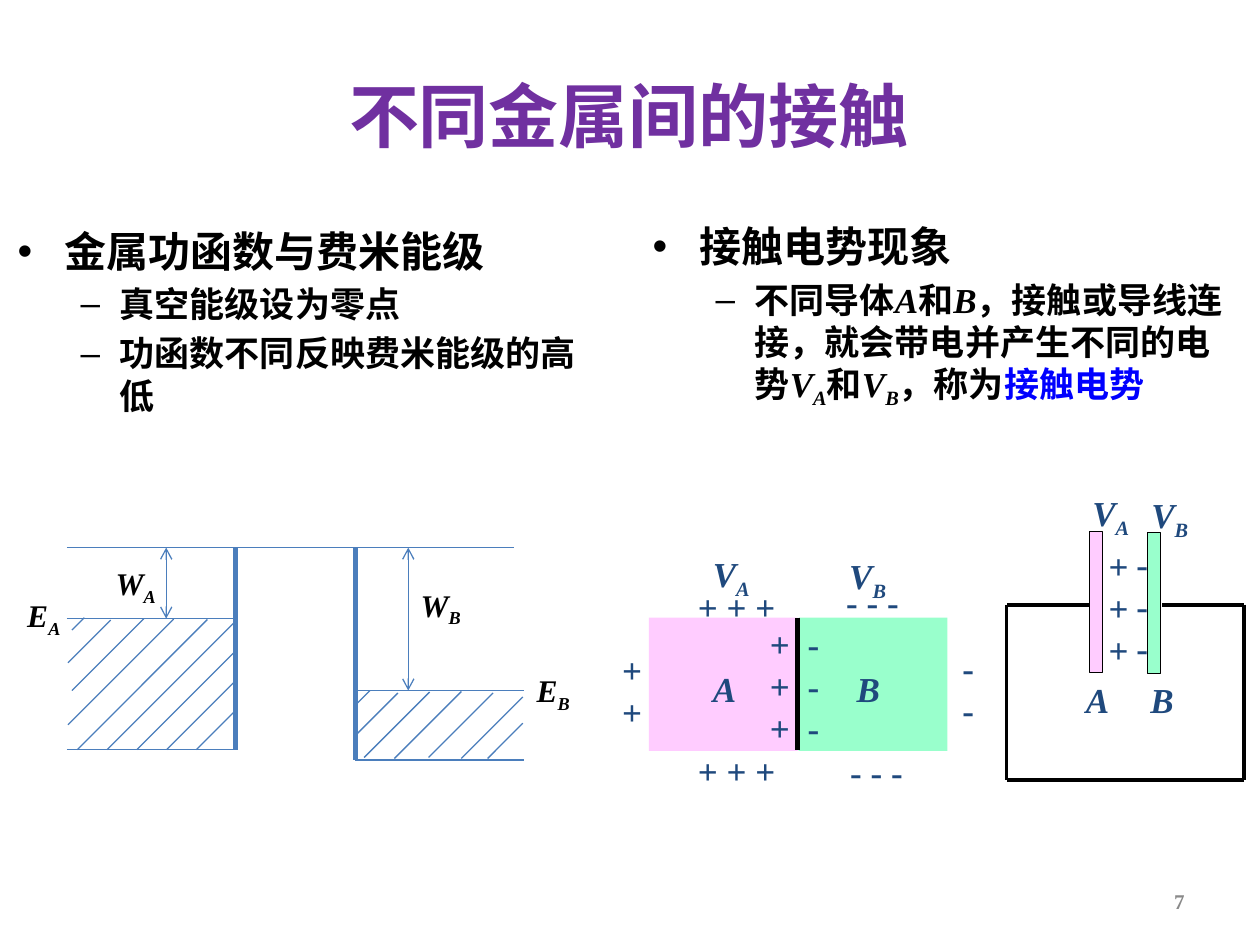
import lxml.etree
import pptx
import pptx.dml.color
import pptx.enum.shapes
import pptx.enum.text
import pptx.oxml.ns
import pptx.util

Cm, Pt = pptx.util.Cm, pptx.util.Pt
RGBColor = pptx.dml.color.RGBColor
qn = pptx.oxml.ns.qn
PP_ALIGN, MSO_ANCHOR = pptx.enum.text.PP_ALIGN, pptx.enum.text.MSO_ANCHOR
MSO_AUTO_SIZE = pptx.enum.text.MSO_AUTO_SIZE

BLACK = RGBColor(0x00, 0x00, 0x00)
PURPLE = RGBColor(0x70, 0x30, 0xA0)
LINK_BLUE = RGBColor(0x00, 0x00, 0xFF)
NAVY = RGBColor(0x1F, 0x49, 0x7D)
DIAGRAM_BLUE = RGBColor(0x4B, 0x7E, 0xBC)
PINK = RGBColor(0xFF, 0xCC, 0xFF)
MINT = RGBColor(0x99, 0xFF, 0xCC)
GRAY = RGBColor(0x89, 0x89, 0x89)
FONT = "Times New Roman"

deck = pptx.Presentation()
deck.slide_width, deck.slide_height = Cm(25.4), Cm(19.05)
slide = deck.slides.add_slide(deck.slide_layouts[3])


def add_runs(paragraph, runs, size, color):
    """Each run is (text, style): "" upright, "i" italic, "sub" italic subscript, "key" blue."""
    for text, style in runs:
        run = paragraph.add_run()
        run.text = text
        run.font.name = FONT
        run.font.size = Pt(size)
        run.font.bold = True
        run.font.italic = style in ("i", "sub")
        run.font.color.rgb = LINK_BLUE if style == "key" else color
        if style == "sub":
            run._r.get_or_add_rPr().set("baseline", "-25000")


def add_line(x1, y1, x2, y2, color, width, arrows=False):
    line = slide.shapes.add_connector(
        pptx.enum.shapes.MSO_CONNECTOR.STRAIGHT, Cm(x1), Cm(y1), Cm(x2), Cm(y2))
    line.line.color.rgb = color
    line.line.width = Pt(width)
    if arrows:
        for end in ("a:headEnd", "a:tailEnd"):
            lxml.etree.SubElement(line.line._get_or_add_ln(), qn(end), type="arrow")
    lxml.etree.SubElement(line._element.spPr, qn("a:effectLst"))


# Title and the two lists
title = slide.shapes.title
title.left, title.top, title.width, title.height = Cm(5.26), Cm(0.71), Cm(14.83), Cm(3.18)
title.text_frame.vertical_anchor = MSO_ANCHOR.MIDDLE
title.text_frame.paragraphs[0].alignment = PP_ALIGN.CENTER
add_runs(title.text_frame.paragraphs[0], [("不同金属间的接触", "")], 40, PURPLE)

work_function_points = [
    (0, [("金属功函数与费米能级", "")]),
    (1, [("真空能级设为零点", "")]),
    (1, [("功函数不同反映费米能级的高低", "")]),
]
contact_potential_points = [
    (0, [("接触电势现象", "")]),
    (1, [("不同导体", ""), ("A", "i"), ("和", ""), ("B", "i"),
         ("，接触或导线连接，就会带电并产生不同的电势", ""),
         ("V", "i"), ("A", "sub"), ("和", ""), ("V", "i"), ("B", "sub"),
         ("，称为", ""), ("接触电势", "key")]),
]
for index, (left, top, width, height), points in [
    (1, (0.1, 4.42, 12.4, 5), work_function_points),
    (2, (12.9, 4.32, 12.19, 3.81), contact_potential_points),
]:
    body = slide.placeholders[index]
    body.left, body.top, body.width, body.height = Cm(left), Cm(top), Cm(width), Cm(height)
    frame = body.text_frame
    frame.auto_size = MSO_AUTO_SIZE.NONE
    for number, (level, runs) in enumerate(points):
        paragraph = frame.add_paragraph() if number else frame.paragraphs[0]
        paragraph.level = level
        margin, indent = [(0.95, -0.95), (2.06, -0.79)][level]
        properties = paragraph._p.get_or_add_pPr()
        properties.set("marL", str(Cm(margin)))
        properties.set("indent", str(Cm(indent)))
        add_runs(paragraph, runs, [24, 20][level], BLACK)

# Metal blocks in contact, and the thin plates of the circuit
for left, top, width, height, color, outlined in [
    (13.08, 12.45, 3, 2.69, PINK, False),
    (16.1, 12.45, 3, 2.69, MINT, False),
    (21.97, 10.72, 0.26, 2.84, PINK, True),
    (23.14, 10.74, 0.26, 2.84, MINT, True),
]:
    metal = slide.shapes.add_shape(
        pptx.enum.shapes.MSO_SHAPE.RECTANGLE, Cm(left), Cm(top), Cm(width), Cm(height))
    metal.shadow.inherit = False
    metal.fill.solid()
    metal.fill.fore_color.rgb = color
    if outlined:
        metal.line.color.rgb = BLACK
        metal.line.width = Pt(0.75)
    else:
        metal.line.fill.background()
add_line(16.08, 12.45, 16.08, 15.11, BLACK, 3)

# Wire joining the plates
wire_left, wire_right, wire_top, wire_bottom = 20.29, 25.08, 12.19, 15.72
for ends in [
    (21.97, wire_top, wire_left, wire_top),
    (wire_left, wire_top, wire_left, wire_bottom),
    (wire_right, wire_top, 23.42, wire_top),
    (wire_right, wire_top, wire_right, wire_bottom),
    (wire_right, wire_bottom, wire_left, wire_bottom),
]:
    add_line(*ends, BLACK, 2.25)

# Energy diagram: well walls, levels, hatching, work functions
vacuum, fermi_a, floor_a, fermi_b, floor_b = 11.04, 12.47, 15.11, 13.92, 15.32
wall_a, wall_b = 4.75, 7.16
add_line(wall_a, floor_a, wall_a, vacuum, DIAGRAM_BLUE, 3)
add_line(wall_b, floor_b, wall_b, vacuum, DIAGRAM_BLUE, 3)
for start, end, level in [
    (1.35, wall_a, fermi_a), (1.35, wall_a, floor_a),
    (wall_b, 10.57, fermi_b), (wall_b, 10.57, floor_b),
    (1.35, 10.36, vacuum),
]:
    add_line(start, level, end, level, DIAGRAM_BLUE, 1)

hatching = [(x, floor_a, min(wall_a - x, 2.62)) for x in (3.96 - 0.6 * i for i in range(5))]
hatching += [
    (1.37, 14.61, 2.13), (1.45, 13.92, 1.45), (1.37, 13.36, 0.86), (1.45, 12.7, 0.25),
    (9.83, 15.29, 0.71), (9.3, 15.29, 1.24), (8.64, 15.27, 1.3), (7.95, 15.29, 1.35),
    (7.34, 15.27, 1.32), (7.16, 14.83, 0.86), (7.21, 14.17, 0.25),
]
for x, y, rise in hatching:
    add_line(x, y, x + rise, y - rise, DIAGRAM_BLUE, 0.75)
add_line(3.35, fermi_a, 3.35, vacuum, DIAGRAM_BLUE, 0.75, arrows=True)
add_line(8.23, fermi_b, 8.23, vacuum, DIAGRAM_BLUE, 0.75, arrows=True)

# Labels: left, top, width, rows of charges or a symbol with its subscript
charges = [
    (13.82, 11.68, 2.08, ["+ + +"]), (13.82, 14.99, 2.08, ["+ + +"]),
    (16.81, 11.58, 1.57, ["- - -"]), (16.89, 15.01, 1.57, ["- - -"]),
    (12.29, 12.95, 0.91, ["+"] * 2), (19.15, 12.9, 0.94, ["-"] * 2),
    (15.27, 12.42, 0.91, ["+"] * 3), (16.03, 12.42, 0.76, ["-"] * 3),
    (22.1, 10.85, 0.91, ["+"] * 3), (22.66, 10.82, 0.76, ["-"] * 3),
]
symbols = [
    (14.12, 13.34, 0.99, "A", "", NAVY), (17.02, 13.34, 0.99, "B", "", NAVY),
    (21.64, 13.56, 0.99, "A", "", NAVY), (22.94, 13.56, 0.99, "B", "", NAVY),
    (14.12, 11.02, 1.35, "V", "A", NAVY), (16.87, 11.05, 1.35, "V", "B", NAVY),
    (21.77, 9.78, 1.35, "V", "A", NAVY), (22.96, 9.83, 1.35, "V", "B", NAVY),
    (2.08, 11.25, 1.37, "W", "A", BLACK), (8.23, 11.68, 1.37, "W", "B", BLACK),
    (0.3, 11.89, 1.22, "E", "A", BLACK), (10.57, 13.41, 1.22, "E", "B", BLACK),
]
labels = [(x, y, w, [[(row, "")] for row in rows], 20, NAVY) for x, y, w, rows in charges]
for x, y, w, letter, subscript, color in symbols:
    runs = [(letter, "i")] + ([(subscript, "sub")] if subscript else [])
    labels.append((x, y, w, [runs], 20 if color == NAVY else 18, color))
for left, top, width, rows, size, color in labels:
    height = 0.056 * size + 0.84 * (len(rows) - 1)
    frame = slide.shapes.add_textbox(Cm(left), Cm(top), Cm(width), Cm(height)).text_frame
    frame.word_wrap = False
    frame.auto_size = MSO_AUTO_SIZE.SHAPE_TO_FIT_TEXT
    for number, runs in enumerate(rows):
        paragraph = frame.add_paragraph() if number else frame.paragraphs[0]
        add_runs(paragraph, runs, size, color)

# Page number
page = slide.shapes.add_textbox(Cm(18.21), Cm(17.65), Cm(5.92), Cm(1.02)).text_frame
page.word_wrap = True
page.vertical_anchor = MSO_ANCHOR.MIDDLE
page.paragraphs[0].alignment = PP_ALIGN.RIGHT
add_runs(page.paragraphs[0], [("7", "")], 12, GRAY)

deck.save("out.pptx")
